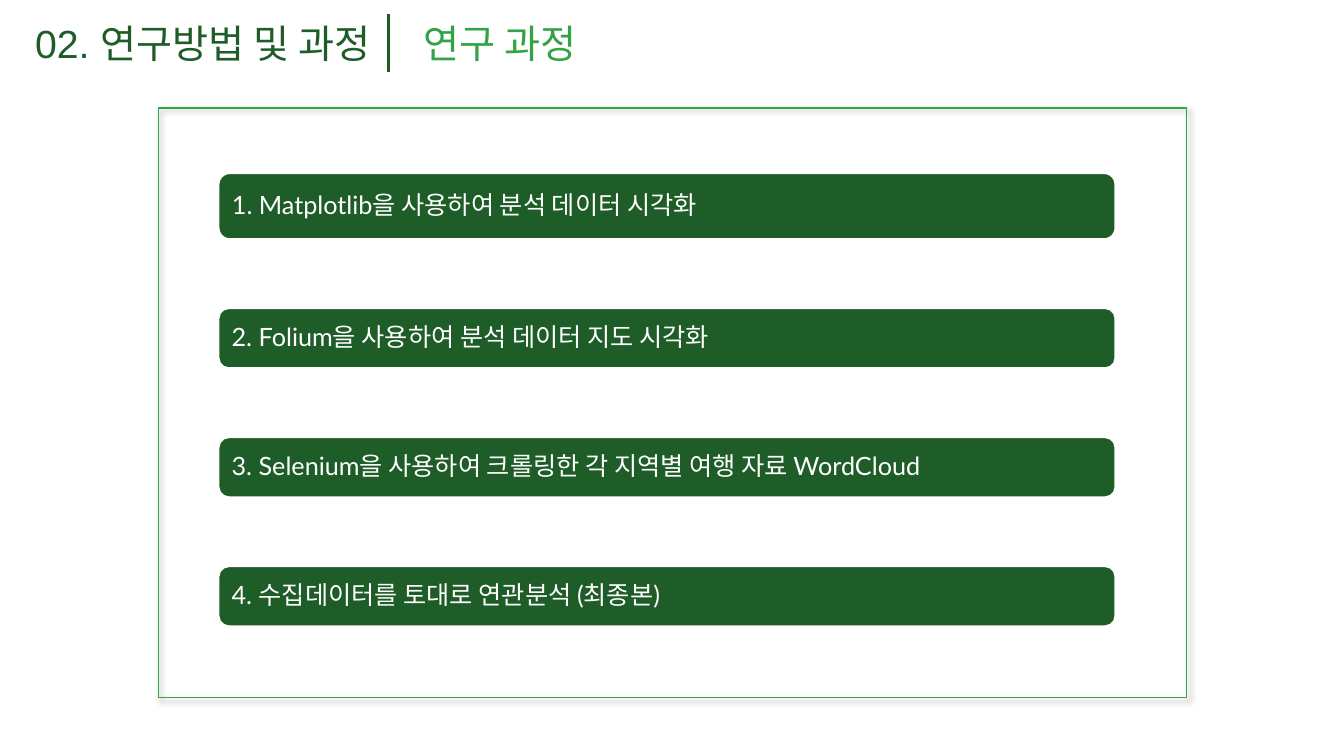
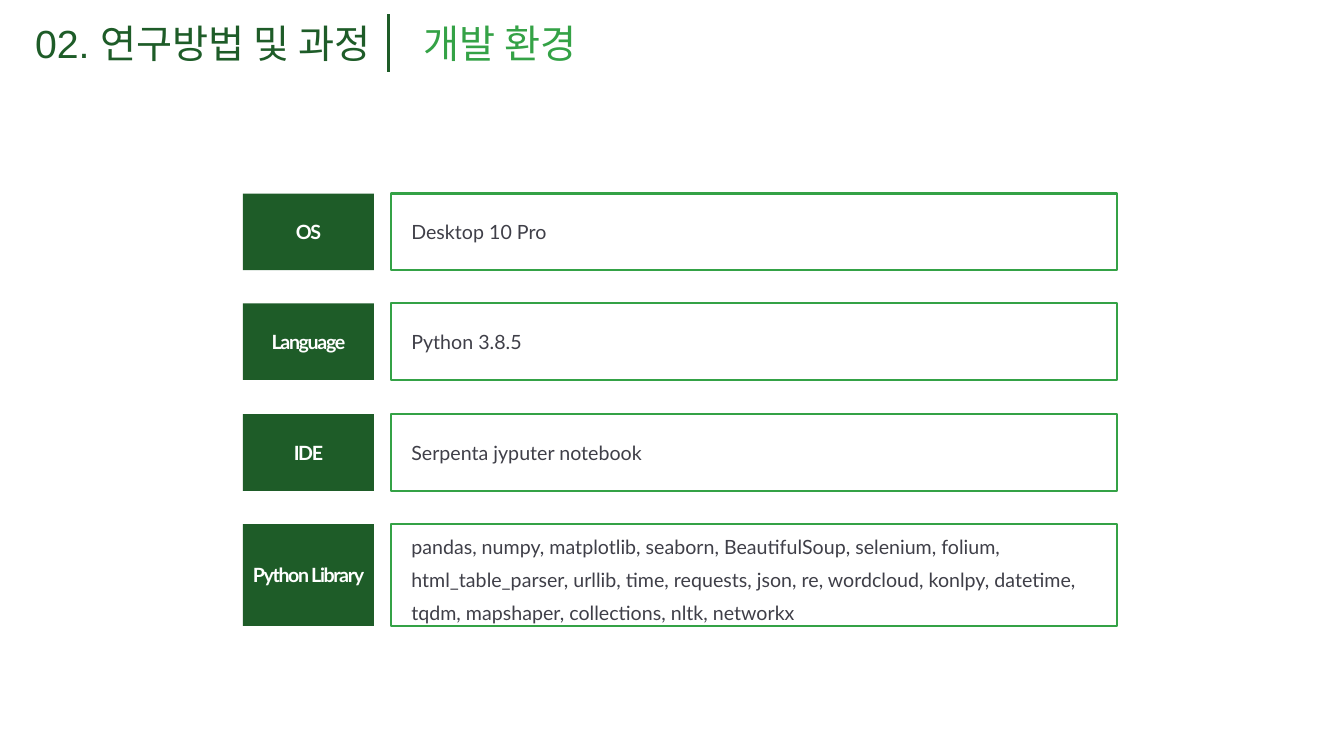
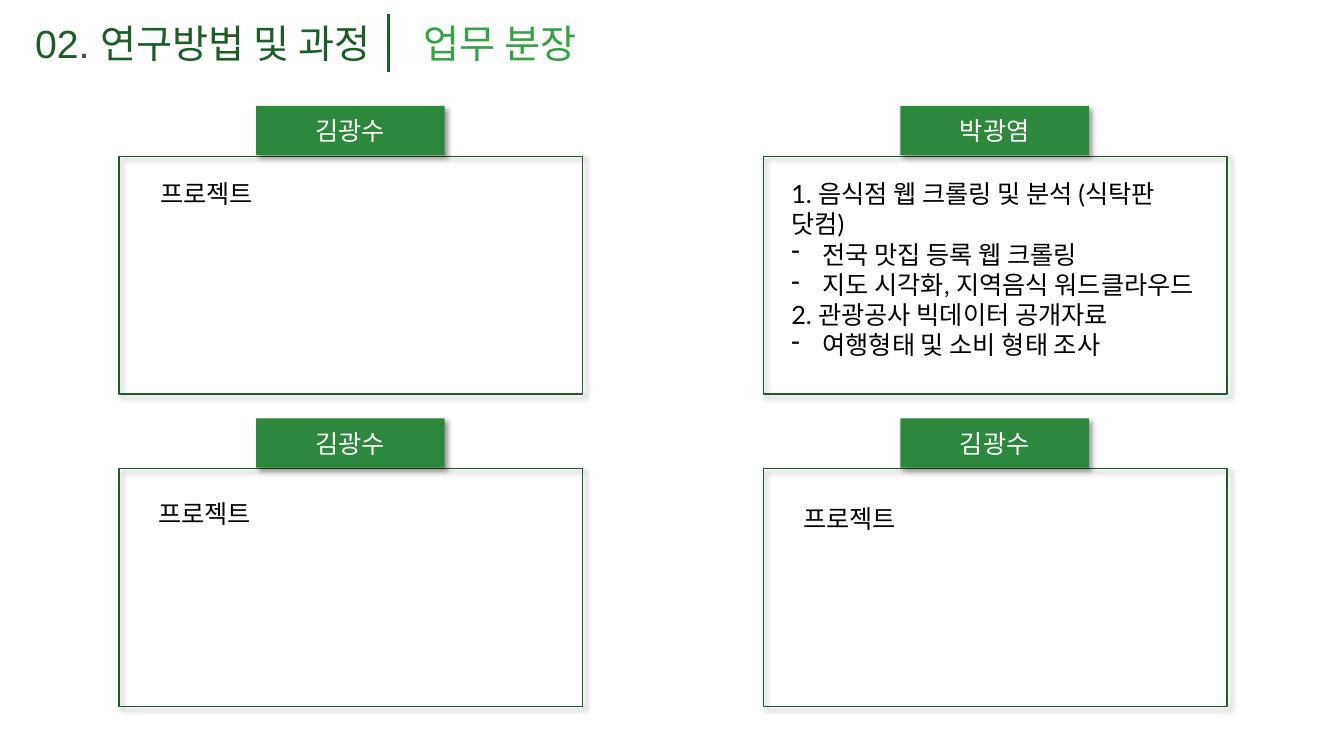
from lxml import etree
from pptx import Presentation
from pptx import util as u
from pptx.dml import color
from pptx.enum import shapes, text
from pptx.oxml import ns

PX = 9144
C = {"dark": "1E5C28", "mid": "2C883B", "bright": "34A246",
     "ink": "3F3F48", "black": "000000", "white": "FFFFFF"}
RECT = shapes.MSO_SHAPE.RECTANGLE
ROUND = shapes.MSO_SHAPE.ROUNDED_RECTANGLE
CENTER = text.PP_ALIGN.CENTER
DEFAULT_INSETS = (10, 5, 10, 5)

STEPS = ["1. Matplotlib을 사용하여 분석 데이터 시각화",
         "2. Folium을 사용하여 분석 데이터 지도 시각화",
         "3. Selenium을 사용하여 크롤링한 각 지역별 여행 자료 WordCloud",
         "4. 수집데이터를 토대로 연관분석 (최종본)"]

ENVIRONMENT = [
    ("OS", "Desktop 10 Pro", 76, None),
    ("Language", "Python 3.8.5", 76, None),
    ("IDE", "Serpenta jyputer notebook", 76, None),
    ("Python Library",
     "pandas, numpy, matplotlib, seaborn, BeautifulSoup, selenium, folium, "
     "html_table_parser, urllib, time, requests, json, re, wordcloud, konlpy, "
     "datetime, tqdm, mapshaper, collections, nltk, networkx", 101, 1.4),
]

PROJECT = [("프로젝트", False)]
DUTIES = [("1. 음식점 웹 크롤링 및 분석 (식탁판 닷컴)", False),
          ("전국 맛집 등록 웹 크롤링", True),
          ("지도 시각화, 지역음식 워드클라우드", True),
          ("2. 관광공사 빅데이터 공개자료", False),
          ("여행형태 및 소비 형태 조사", True)]
MEMBERS = [("김광수", PROJECT, (31, 67, 400, 40)),
           ("박광염", DUTIES, (18, 67, 425, 162)),
           ("김광수", PROJECT, (29, 74, 400, 40)),
           ("김광수", PROJECT, (30, 79, 400, 40))]


def px(*values):
    """Turn px lengths into EMU."""
    return [u.Emu(v * PX) for v in values]


def rgb(name):
    """Look up a palette colour."""
    return color.RGBColor.from_string(C[name])


def add_run(p, words, size, font, ink, bold=False, spacing=0):
    """Append one styled run to a paragraph."""
    r = p.add_run()
    r.text = words
    r.font.size = u.Pt(size)
    r.font.name = font
    r.font.bold = bold
    r.font.color.rgb = rgb(ink)
    if spacing:
        r.font._element.set("spc", str(spacing * 100))


def indent(p, left, first=0, bullet=None):
    """Set a paragraph's indents and its optional bullet."""
    pPr = p._p.get_or_add_pPr()
    pPr.set("marL", str(left * PX))
    pPr.set("indent", str(first * PX))
    if bullet:
        etree.SubElement(pPr, ns.qn("a:buChar")).set("char", bullet)


def add_shadow(sp):
    """Give a shape a soft shadow to the lower right."""
    effects = sp._element.spPr.find(ns.qn("a:effectLst"))
    shadow = etree.SubElement(effects, ns.qn("a:outerShdw"), blurRad="50800",
                              dist="38100", dir="2700000", algn="tl", rotWithShape="0")
    tint = etree.SubElement(shadow, ns.qn("a:srgbClr"), val=C["black"])
    etree.SubElement(tint, ns.qn("a:alpha"), val="40000")


def add_box(s, box, kind=RECT, fill=None, line=None, width=1, shadow=False,
            insets=DEFAULT_INSETS):
    """Add a shape and return it with its text anchored in the middle."""
    sp = s.shapes.add_shape(kind, *px(*box))
    sp.shadow.inherit = False
    if fill:
        sp.fill.solid()
        sp.fill.fore_color.rgb = rgb(fill)
    else:
        sp.fill.background()
    if line:
        sp.line.color.rgb = rgb(line)
        sp.line.width = u.Pt(width)
    else:
        sp.line.fill.background()
    if shadow:
        add_shadow(sp)
    tf = sp.text_frame
    tf.word_wrap = True
    tf.vertical_anchor = text.MSO_ANCHOR.MIDDLE
    tf.margin_left, tf.margin_top, tf.margin_right, tf.margin_bottom = px(*insets)
    tf.paragraphs[0].alignment = text.PP_ALIGN.LEFT
    return sp


def add_text(s, box, lines, size, font, ink):
    """Add a text box of (words, bulleted) lines."""
    tf = s.shapes.add_textbox(*px(*box)).text_frame
    tf.word_wrap = True
    tf.auto_size = text.MSO_AUTO_SIZE.SHAPE_TO_FIT_TEXT
    for i, (words, bulleted) in enumerate(lines):
        p = tf.add_paragraph() if i else tf.paragraphs[0]
        if bulleted:
            indent(p, 31, -31, "-")
        add_run(p, words, size, font, ink)


def add_slide(prs, topic):
    """Add a blank slide with the section title, rule and topic."""
    s = prs.slides.add_slide(prs.slide_layouts[6])
    add_text(s, (25, 14, 385, 57), [("02. 연구방법 및 과정", False)], 28, "Arial", "dark")
    rule = s.shapes.add_connector(shapes.MSO_CONNECTOR.STRAIGHT, *px(385, 14, 385, 71))
    rule.line.color.rgb = rgb("dark")
    rule.line.width = u.Pt(2.25)
    etree.SubElement(rule._element.spPr, ns.qn("a:effectLst"))
    add_text(s, (410, 14, 385, 57), [(topic, False)], 28, "Calibri", "bright")
    return s


def add_steps(s, box):
    """Stack the step bars at equal gaps inside a shadowed frame."""
    x, y, w, h = box
    top = y + 65
    for i, words in enumerate(STEPS):
        height = 59 if i else 65
        sp = add_box(s, (x + 60, top, w - 131, height), ROUND, "dark", "white",
                     insets=(10,) * 4)
        p = sp.text_frame.paragraphs[0]
        p.line_spacing = 0.9
        p.space_after = u.Pt(6)
        add_run(p, words, 18, "Lato", "white")
        top += height + 69
    add_box(s, box, line="bright", shadow=True)


def add_environment_row(s, box, label, value, line_spacing):
    """Place a label block and its outlined value side by side."""
    x, y, w, h = box
    p = add_box(s, (x, y, 130, h), fill="dark", insets=(0,) * 4).text_frame.paragraphs[0]
    p.alignment = CENTER
    add_run(p, label, 14, "Lato", "white", bold=True, spacing=-1)
    sp = add_box(s, (x + 147, y, w - 147, h), fill="white", line="bright", width=1.5,
                 insets=(0, 5, 0, 5))
    p = sp.text_frame.paragraphs[0]
    indent(p, 20)
    p.line_spacing = line_spacing
    add_run(p, value, 14, "Lato", "ink")


def add_member(s, box, name, lines, note):
    """Place a member's frame, name tab and notes."""
    x, y, w, h = box
    add_box(s, (x, y + 50, w, h - 50), line="dark", shadow=True)
    tab = add_box(s, (x + 136, y, 187, 49), fill="mid", shadow=True)
    p = tab.text_frame.paragraphs[0]
    p.alignment = CENTER
    add_run(p, name, 18, "Roboto", "white")
    dx, dy, nw, nh = note
    add_text(s, (x + dx, y + dy, nw, nh), lines, 18, "Lato", "black")


def main():
    """Build and save the three slides."""
    prs = Presentation()
    prs.slide_width, prs.slide_height = px(1333, 750)
    add_steps(add_slide(prs, "연구 과정"), (157, 107, 1020, 585))
    s = add_slide(prs, "개발 환경")
    for i, (label, value, height, spacing) in enumerate(ENVIRONMENT):
        row = (241, 192 + round(i * 109.4), 867, height)
        add_environment_row(s, row, label, value, spacing)
    s = add_slide(prs, "업무 분장")
    for i, (name, lines, note) in enumerate(MEMBERS):
        card = (118 + i % 2 * 639, 105 + i // 2 * 310, 460, 286)
        add_member(s, card, name, lines, note)
    prs.save("out.pptx")


if __name__ == "__main__":
    main()
